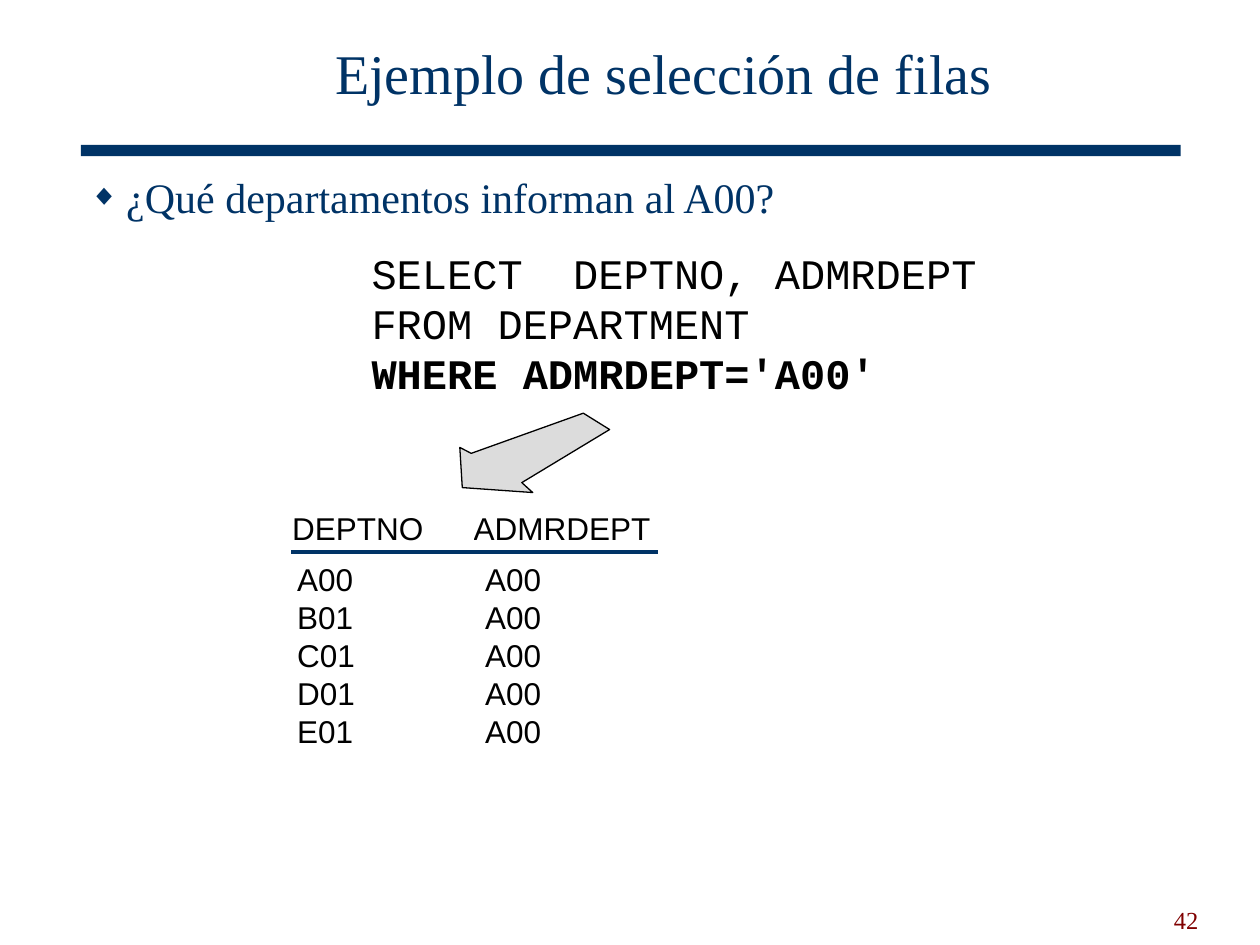
"""Build the slide that shows a row selection query and its result."""
from dataclasses import dataclass

from lxml.etree import SubElement
from pptx import Presentation
from pptx.dml.color import RGBColor
from pptx.enum.shapes import MSO_CONNECTOR, MSO_SHAPE
from pptx.enum.text import MSO_ANCHOR, MSO_AUTO_SIZE, PP_ALIGN
from pptx.oxml.ns import qn
from pptx.util import Cm, Pt

NAVY = RGBColor(0x00, 0x33, 0x66)
MAROON = RGBColor(0x80, 0x00, 0x00)
BLACK = RGBColor(0x00, 0x00, 0x00)
GRAY = RGBColor(0xDC, 0xDC, 0xDC)


@dataclass(frozen=True)
class Style:
    font: str
    size: int
    color: RGBColor
    bold: bool = False


@dataclass(frozen=True)
class Box:
    left: float
    top: float
    width: float
    height: float

    def lengths(self) -> tuple:
        return Cm(self.left), Cm(self.top), Cm(self.width), Cm(self.height)


@dataclass(frozen=True)
class Column:
    heading: str
    values: tuple
    width: float
    indent: float


TITLE = Style("Times New Roman", 32, NAVY)
QUESTION = Style("Times New Roman", 24, NAVY)
PAGE = Style("Times New Roman", 14, MAROON)
CODE = Style("Courier New", 24, BLACK)
CONDITION = Style("Courier New", 24, BLACK, True)
DATA = Style("Arial", 18, BLACK)

QUERY = (
    ("SELECT  DEPTNO, ADMRDEPT", CODE),
    ("FROM DEPARTMENT", CODE),
    ("WHERE ADMRDEPT='A00'", CONDITION),
)
COLUMNS = (
    Column("DEPTNO", ("A00", "B01", "C01", "D01", "E01"), 3.66, 0.1),
    Column("ADMRDEPT", ("A00",) * 5, 3.7, 0.23),
)
ARROW = ((12.29, 8.66), (11.76, 8.33), (9.5, 9.14), (9.27, 9.02),
         (9.32, 9.83), (10.74, 9.93), (10.52, 9.73))
HEADING_HEIGHT, ROW_HEIGHT = 1.04, 0.73


def apply(target, formats: dict) -> None:
    for attribute, value in formats.items():
        setattr(target, attribute, value)


def write(paragraph, wording: str, style: Style) -> None:
    run = paragraph.add_run()
    run.text = wording
    apply(run.font, {"name": style.font, "size": Pt(style.size), "bold": style.bold})
    run.font.color.rgb = style.color


def place(shape, box: Box) -> None:
    apply(shape, dict(zip(("left", "top", "width", "height"), box.lengths())))


def add_bullet(paragraph) -> None:
    properties = paragraph._p.get_or_add_pPr()
    apply_indent = {"marL": Cm(0.74), "indent": Cm(-0.74)}
    for name, length in apply_indent.items():
        properties.set(name, str(length))
    color = SubElement(properties, qn("a:buClr"))
    SubElement(color, qn("a:srgbClr"), val=str(NAVY))
    SubElement(properties, qn("a:buSzPct"), val="70000")
    SubElement(properties, qn("a:buChar"), char="◆")


def add_headings(slide) -> None:
    title, body = slide.shapes.title, slide.placeholders[1]
    place(title, Box(3.12, 0.36, 20.52, 2.39))
    place(body, Box(1.55, 3.33, 22.1, 13.61))
    apply(title.text_frame, {"vertical_anchor": MSO_ANCHOR.MIDDLE,
                             "auto_size": MSO_AUTO_SIZE.NONE})
    apply(body.text_frame, {"vertical_anchor": MSO_ANCHOR.TOP,
                            "auto_size": MSO_AUTO_SIZE.NONE})
    heading, question = title.text_frame.paragraphs[0], body.text_frame.paragraphs[0]
    apply(heading, {"alignment": PP_ALIGN.CENTER, "line_spacing": 0.85})
    write(heading, "Ejemplo de selección de filas", TITLE)
    question.space_before = Pt(4.8)
    add_bullet(question)
    write(question, "¿Qué departamentos informan al A00?", QUESTION)


def add_bar(slide) -> None:
    bar = slide.shapes.add_shape(MSO_SHAPE.RECTANGLE, *Box(1.63, 2.92, 22.17, 0.23).lengths())
    bar.shadow.inherit = False
    bar.fill.solid()
    bar.fill.fore_color.rgb = NAVY
    bar.line.fill.background()


def add_page_number(slide) -> None:
    frame = slide.shapes.add_textbox(*Box(18.31, 17.7, 6.1, 1.27).lengths()).text_frame
    apply(frame, {"word_wrap": True, "vertical_anchor": MSO_ANCHOR.BOTTOM})
    frame.paragraphs[0].alignment = PP_ALIGN.RIGHT
    write(frame.paragraphs[0], "42", PAGE)


def add_query(slide) -> None:
    frame = slide.shapes.add_textbox(*Box(7.49, 5, 16.41, 3.05).lengths()).text_frame
    apply(frame, {"word_wrap": True, "margin_left": 0, "margin_right": 0,
                  "margin_top": 0, "margin_bottom": 0})
    for index, (clause, style) in enumerate(QUERY):
        paragraph = frame.add_paragraph() if index else frame.paragraphs[0]
        paragraph.line_spacing = Pt(28.6)
        write(paragraph, clause, style)


def add_arrow(slide) -> None:
    corners = [(Cm(x), Cm(y)) for x, y in ARROW]
    builder = slide.shapes.build_freeform(*corners[0])
    builder.add_line_segments(corners[1:], close=True)
    arrow = builder.convert_to_shape()
    arrow.shadow.inherit = False
    arrow.fill.solid()
    arrow.fill.fore_color.rgb = GRAY
    arrow.line.color.rgb = BLACK
    arrow.line.width = Pt(0.75)


def fill_cell(cell, wording: str, indent: float) -> None:
    cell.fill.background()
    apply(cell, {"margin_left": Cm(indent), "margin_right": 0, "margin_top": 0,
                 "margin_bottom": 0, "vertical_anchor": MSO_ANCHOR.TOP})
    write(cell.text_frame.paragraphs[0], wording, DATA)


def add_result(slide) -> None:
    count = len(COLUMNS[0].values)
    area = Box(5.89, 10.31, sum(column.width for column in COLUMNS),
               HEADING_HEIGHT + count * ROW_HEIGHT)
    result = slide.shapes.add_table(count + 1, len(COLUMNS), *area.lengths()).table
    result.horz_banding = False
    for index, row in enumerate(result.rows):
        row.height = Cm(ROW_HEIGHT if index else HEADING_HEIGHT)
    for position, column in enumerate(COLUMNS):
        result.columns[position].width = Cm(column.width)
        fill_cell(result.cell(0, position), column.heading, 0)
        for index, value in enumerate(column.values, 1):
            fill_cell(result.cell(index, position), value, column.indent)


def add_rule(slide) -> None:
    rule = slide.shapes.add_connector(MSO_CONNECTOR.STRAIGHT, Cm(5.87), Cm(11.13),
                                      Cm(13.26), Cm(11.13))
    rule.line.color.rgb = NAVY
    rule.line.width = Pt(2.25)
    SubElement(rule._element.spPr, qn("a:effectLst"))


def main() -> None:
    deck = Presentation()
    apply(deck, {"slide_width": Cm(25.4), "slide_height": Cm(19.05)})
    slide = deck.slides.add_slide(deck.slide_layouts[1])
    for draw in (add_bar, add_page_number, add_headings, add_query,
                 add_arrow, add_result, add_rule):
        draw(slide)
    deck.save("out.pptx")


if __name__ == "__main__":
    main()
